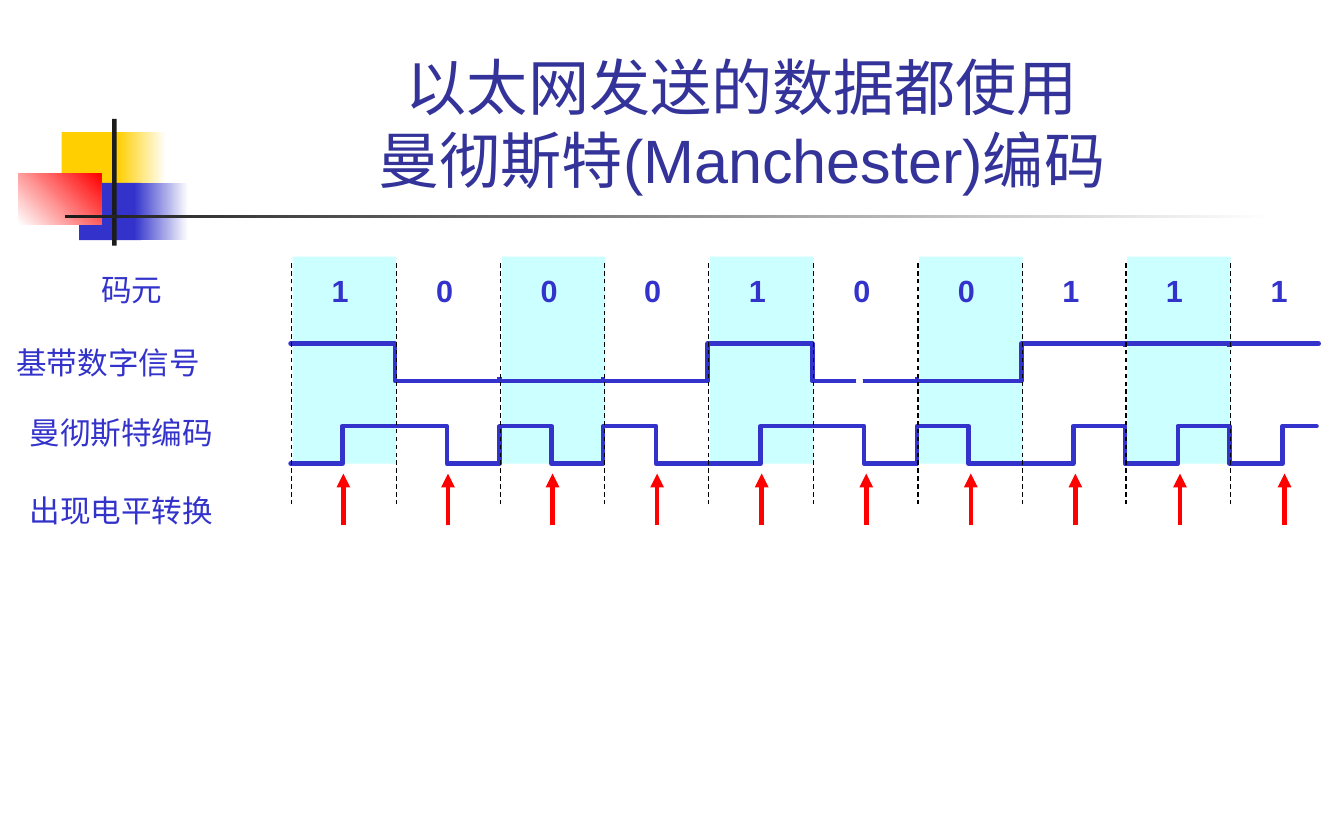
from lxml.etree import SubElement
from pptx import Presentation
from pptx.dml.color import RGBColor
from pptx.enum.dml import MSO_LINE
from pptx.enum.shapes import MSO_CONNECTOR, MSO_SHAPE
from pptx.enum.text import MSO_ANCHOR, PP_ALIGN
from pptx.oxml.ns import qn
from pptx.util import Pt

PX = 9144  # EMU, 100 px to the inch
COLORS = {
    "title": "333399", "blue": "3333CC", "yellow": "FFCF01", "red": "FF0000",
    "ink": "1C1C1C", "black": "000000", "white": "FFFFFF", "band": "CCFFFF",
}
BITS = [1, 0, 0, 0, 1, 0, 0, 1, 1, 1]
GRID_LEFT, BIT_WIDTH = 264, 94.8


def rgb(name):
    return RGBColor.from_string(COLORS[name])


def boundary(index):
    return round(GRID_LEFT + BIT_WIDTH * index)


def wave_points(levels, high, low, end):
    """Corner points of a square wave whose levels share the grid equally."""
    step = BIT_WIDTH * len(BITS) / len(levels)
    points = []
    for index, level in enumerate(levels):
        y = high if level else low
        left = round(GRID_LEFT + step * index)
        if not points or points[-1][1] != y:
            if points:
                points.append((left, points[-1][1]))
            points.append((left, y))
    return points + [(end, points[-1][1])]


class SlideBuilder:
    font = "Arial"

    def __init__(self, slide):
        self.slide = slide

    def rect(self, left, top, width, height, color):
        shape = self.slide.shapes.add_shape(
            MSO_SHAPE.RECTANGLE, left * PX, top * PX, width * PX, height * PX)
        shape.shadow.inherit = False
        shape.line.fill.background()
        shape.fill.solid()
        shape.fill.fore_color.rgb = rgb(color)
        return shape

    def gradient_rect(self, left, top, width, height, start, end, angle=0):
        shape = self.rect(left, top, width, height, start)
        shape.fill.gradient()
        shape.fill.gradient_angle = angle
        for stop, color in zip(shape.fill.gradient_stops, (start, end)):
            stop.color.rgb = rgb(color)

    def text(self, left, top, width, height, lines, size=20, color="blue",
             bold=False, align=PP_ALIGN.LEFT, anchor=MSO_ANCHOR.TOP):
        box = self.slide.shapes.add_textbox(
            left * PX, top * PX, width * PX, height * PX)
        frame = box.text_frame
        frame.word_wrap = True
        frame.vertical_anchor = anchor
        frame.text = lines
        for paragraph in frame.paragraphs:
            paragraph.alignment = align
            for run in paragraph.runs:
                run.font.name = self.font
                run.font.size = Pt(size)
                run.font.bold = bold
                run.font.color.rgb = rgb(color)

    def line(self, x1, y1, x2, y2, color, width, dashed=False, arrow=False):
        connector = self.slide.shapes.add_connector(
            MSO_CONNECTOR.STRAIGHT, x1 * PX, y1 * PX, x2 * PX, y2 * PX)
        connector.line.color.rgb = rgb(color)
        connector.line.width = Pt(width)
        if dashed:
            connector.line.dash_style = MSO_LINE.DASH
        properties = connector.element.spPr
        if arrow:
            SubElement(properties.find(qn("a:ln")), qn("a:tailEnd"), type="triangle")
        SubElement(properties, qn("a:effectLst"))

    def wave(self, points):
        builder = self.slide.shapes.build_freeform(*points[0], scale=PX)
        builder.add_line_segments(points[1:], close=False)
        shape = builder.convert_to_shape()
        shape.shadow.inherit = False
        shape.fill.background()
        shape.line.color.rgb = rgb("blue")
        shape.line.width = Pt(3)
        outline = shape.element.spPr.find(qn("a:ln"))
        outline.set("cap", "rnd")
        SubElement(outline, qn("a:round"))


def draw_decoration(builder):
    builder.rect(56, 120, 58, 52, "yellow")
    builder.gradient_rect(107, 120, 44, 52, "yellow", "white")
    builder.rect(72, 166, 56, 52, "blue")
    builder.gradient_rect(122, 166, 49, 52, "blue", "white")
    builder.gradient_rect(17, 158, 75, 46, "white", "red", angle=45)
    builder.rect(102, 108, 4, 115, "ink")
    builder.gradient_rect(59, 195, 1098, 3, "ink", "white")


def draw_labels(builder):
    builder.text(154, 23, 1040, 160, "以太网发送的数据都使用\n曼彻斯特(Manchester)编码",
                 size=40, color="title", align=PP_ALIGN.CENTER,
                 anchor=MSO_ANCHOR.BOTTOM)
    for left, top, label in ((82, 241, "码元"), (5, 307, "基带数字信号"),
                             (17, 371, "曼彻斯特编码"), (17, 442, "出现电平转换")):
        builder.text(left, top, 200, 43, label)


def draw_signals(builder):
    for index in range(0, len(BITS), 2):
        builder.rect(boundary(index) + 2, 233, 94, 188, "band")
    for index, bit in enumerate(BITS):
        builder.text(boundary(index) + 27, 242, 36, 43, str(bit), bold=True,
                     align=PP_ALIGN.CENTER)

    builder.wave(wave_points(BITS, 312, 346, 1198))
    for index in range(1, len(BITS)):
        if BITS[index] == BITS[index - 1]:
            x, y = boundary(index), 315 if BITS[index] else 346
            builder.line(x, y, x, y - 4, "blue", 3)
    halves = [half for bit in BITS for half in (1 - bit, bit)]
    builder.wave(wave_points(halves, 387, 421, 1196))

    gap = builder.rect(778, 345, 6, 2, "white")
    gap.line.color.rgb = rgb("white")
    gap.line.width = Pt(0.75)

    for index in range(len(BITS)):
        x = boundary(index) + 1
        builder.line(x, 458, x, 238, "black", 0.75, dashed=True)
    for index in range(len(BITS)):
        x = 312 + 95 * index
        builder.line(x, 477, x, 430, "red", 3, arrow=True)


def main():
    presentation = Presentation()
    presentation.slide_width = 1221 * PX
    presentation.slide_height = 750 * PX
    slide = presentation.slides.add_slide(presentation.slide_layouts[6])
    builder = SlideBuilder(slide)
    draw_decoration(builder)
    draw_labels(builder)
    draw_signals(builder)
    presentation.save("out.pptx")


if __name__ == "__main__":
    main()
